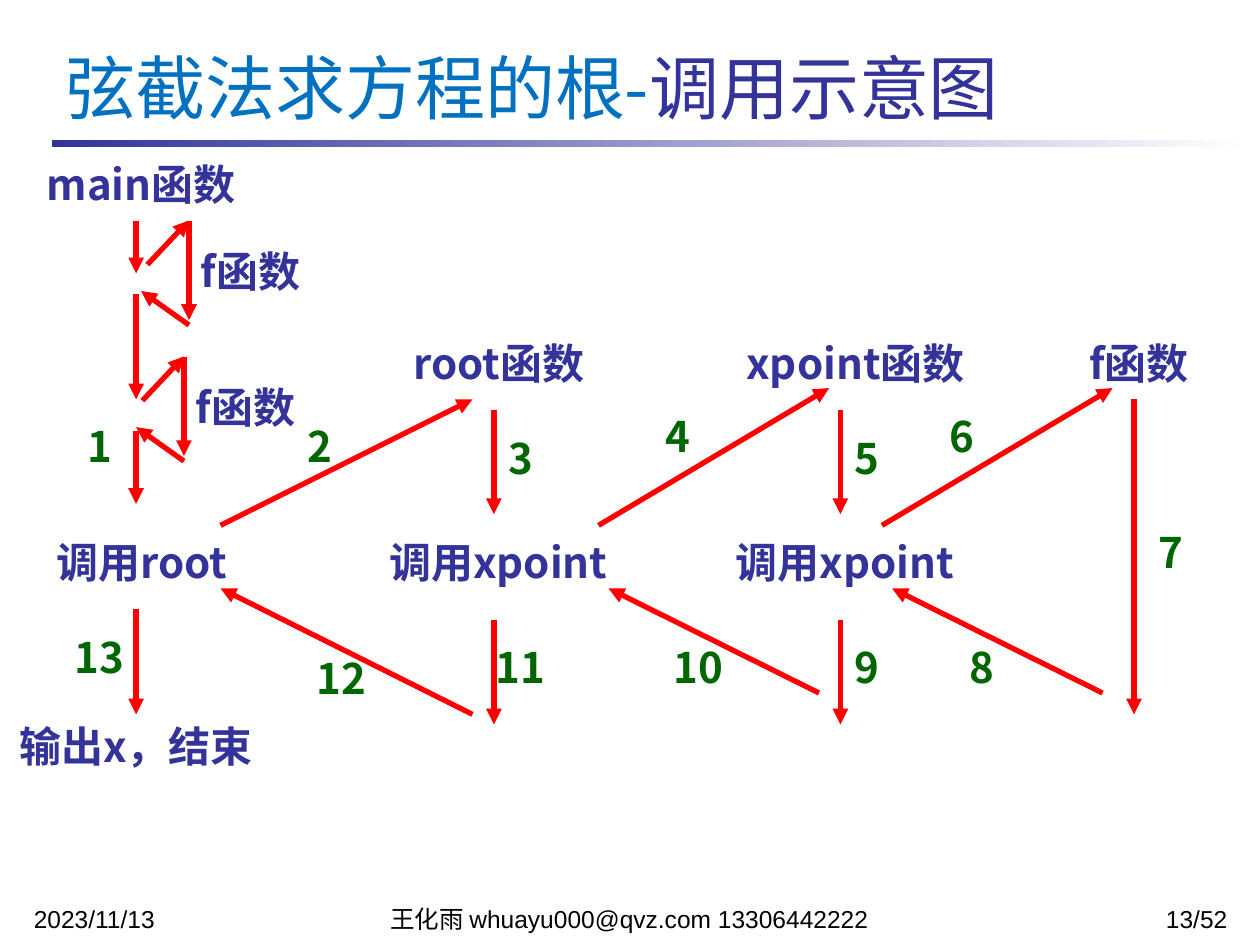
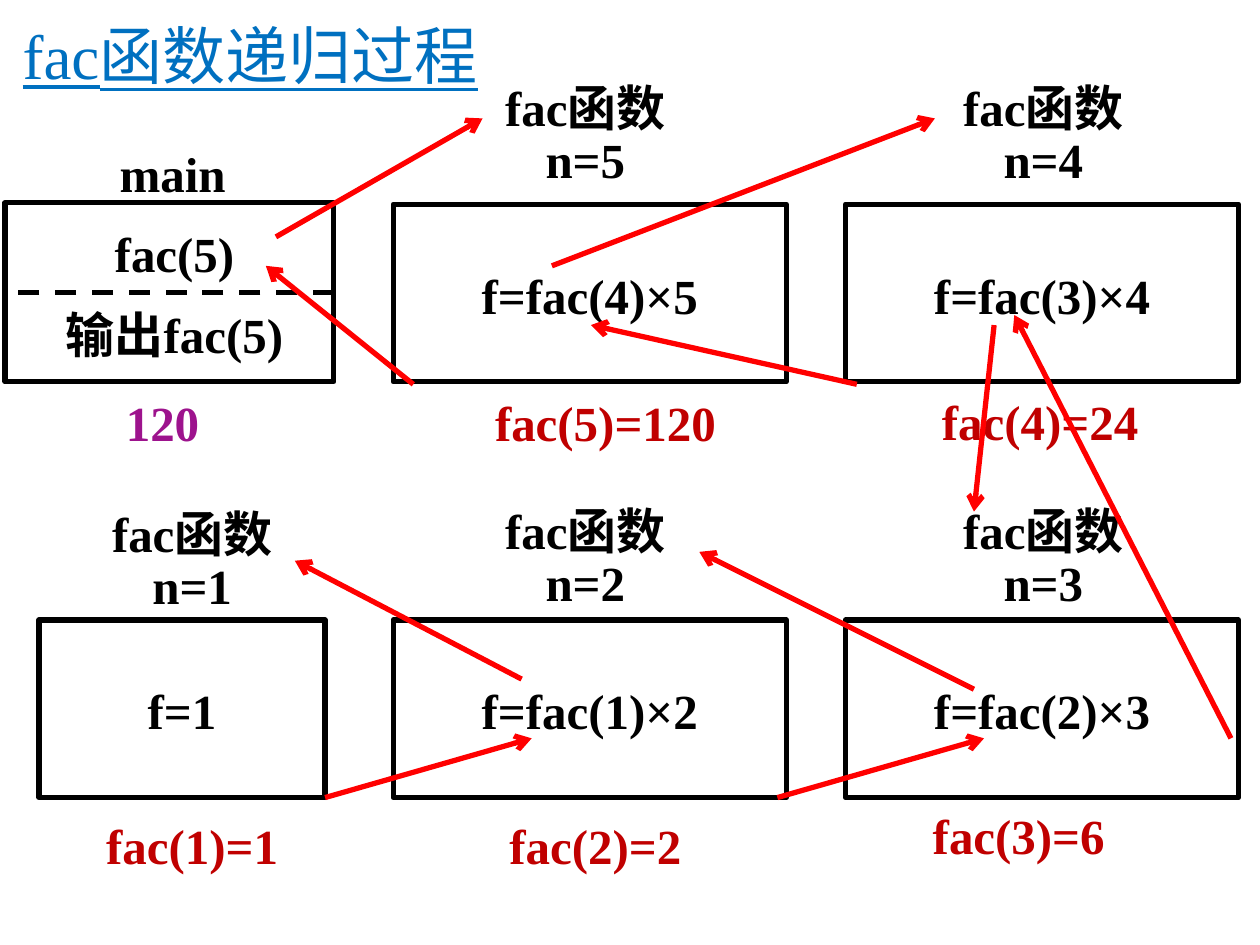
from dataclasses import dataclass, replace
from typing import NamedTuple, Optional

from lxml.etree import SubElement
from pptx import Presentation
from pptx.dml.color import RGBColor
from pptx.enum.dml import MSO_LINE
from pptx.enum.shapes import MSO_CONNECTOR, MSO_SHAPE
from pptx.enum.text import MSO_ANCHOR as Anchor, MSO_AUTO_SIZE, PP_ALIGN as Align
from pptx.oxml.ns import qn
from pptx.util import Inches, Pt

SANS, SERIF = "Noto Sans CJK SC", "Times New Roman"
BLACK, WHITE, RED = "000000", "FFFFFF", "FF0000"
NAVY, SKY, GREEN, CRIMSON, PURPLE = "333399", "0070C0", "006600", "C00000", "9D138D"
RULE_WIDTH = 3


class Area(NamedTuple):
    left: float
    top: float
    width: float
    height: float


class Arrow(NamedTuple):
    x1: float
    y1: float
    x2: float
    y2: float


class Mark(NamedTuple):
    text: str
    left: float
    top: float


class Call(NamedTuple):
    heading: list
    heading_area: Area
    body: str
    frame_area: Area
    result: str
    result_area: Area


@dataclass(frozen=True)
class TextStyle:
    size: float
    color: str
    font: str = SANS
    bold: bool = False
    underline: bool = False
    align: Align = Align.CENTER
    spacing: object = 1.0
    before: float = 0


LABEL = TextStyle(24, NAVY, bold=True)
NUMBER = replace(LABEL, color=GREEN)
FOOTER = TextStyle(14, BLACK, "Arial", spacing=0.8)
CODE = TextStyle(28, BLACK, SERIF, bold=True, spacing=1.2, before=5.6)
TIGHT = replace(CODE, spacing=Pt(24))
RESULT = replace(TIGHT, color=CRIMSON)
CALL_TITLE = TextStyle(40, SKY, align=Align.LEFT)
FAC_TITLE = TextStyle(36, SKY, SERIF, underline=True, align=Align.LEFT)


def rgb(color: str) -> RGBColor:
    return RGBColor.from_string(color)


def apply(target, values: dict) -> None:
    for name, value in values.items():
        setattr(target, name, value)


def place(area: Area) -> list:
    return [Inches(value) for value in area]


def add_span(para, text: str, style: TextStyle) -> None:
    span = para.add_run()
    span.text = text
    apply(span.font, {"size": Pt(style.size), "bold": style.bold,
                      "underline": style.underline, "name": style.font})
    span.font.color.rgb = rgb(style.color)
    SubElement(span._r.get_or_add_rPr(), qn("a:ea"), typeface=SANS)


def write(box, lines: list, style: TextStyle, anchor=Anchor.TOP,
          wrap: bool = True, top_inset: float = 0.05) -> None:
    frame = box.text_frame
    apply(frame, {"word_wrap": wrap, "auto_size": MSO_AUTO_SIZE.NONE,
                  "vertical_anchor": anchor, "margin_top": Inches(top_inset)})
    for index, line in enumerate(lines):
        para = frame.add_paragraph() if index else frame.paragraphs[0]
        apply(para, {"alignment": style.align, "line_spacing": style.spacing,
                     "space_before": Pt(style.before if index else 0)})
        add_span(para, line, style)


def add_text(page, area: Area, lines: list, style: TextStyle, **options):
    box = page.shapes.add_textbox(*place(area))
    write(box, lines, style, **options)
    return box


def add_block(page, area: Area, kind=MSO_SHAPE.RECTANGLE,
              fill: Optional[str] = None, line: Optional[str] = None):
    box = page.shapes.add_shape(kind, *place(area))
    box.shadow.inherit = False
    if fill:
        box.fill.solid()
        box.fill.fore_color.rgb = rgb(fill)
    else:
        box.fill.background()
    if line:
        box.line.color.rgb = rgb(line)
        box.line.width = Pt(RULE_WIDTH)
    else:
        box.line.fill.background()
    return box


def add_label(page, area: Area, text: str, kind=MSO_SHAPE.RECTANGLE,
              fill: Optional[str] = WHITE):
    box = add_block(page, area, kind, fill)
    write(box, [text], LABEL, anchor=Anchor.MIDDLE, wrap=False)
    return box


def add_line(page, ends: Arrow, color: str = RED, head: Optional[str] = None):
    line = page.shapes.add_connector(MSO_CONNECTOR.STRAIGHT, *place(ends))
    line.line.color.rgb = rgb(color)
    line.line.width = Pt(RULE_WIDTH)
    properties = line.element.spPr
    if head:
        SubElement(properties.find(qn("a:ln")), qn("a:tailEnd"), type=head)
    SubElement(properties, qn("a:effectLst"))
    return line


def add_page(deck, title_area: Area, title: str, style: TextStyle):
    page = deck.slides.add_slide(deck.slide_layouts[5])
    box = page.shapes.title
    apply(box, dict(zip(("left", "top", "width", "height"), place(title_area))))
    write(box, [title], style, anchor=Anchor.MIDDLE)
    return page


def add_band(page) -> None:
    band = add_block(page, Area(0.41, 1.11, 9.51, 0.06))
    band.fill.gradient()
    band.fill.gradient_angle = 0
    for stop, color in zip(band.fill.gradient_stops, (NAVY, WHITE)):
        stop.color.rgb = rgb(color)


def add_footers(page) -> None:
    for left, width, text, align in (
        (0.17, 2.33, "2023/11/13", Align.LEFT),
        (2.58, 4.83, "王化雨 whuayu000@qvz.com 13306442222", Align.CENTER),
        (7.92, 1.92, "13/52", Align.RIGHT),
    ):
        add_text(page, Area(left, 7.17, width, 0.18), [text], replace(FOOTER, align=align))


def add_f_call(page, x: float, y: float) -> None:
    """Short trip from main into f and back, starting at the top of f."""
    add_label(page, Area(x, y + 0.26, 0.98, 0.27), "f函数")
    for ends in (
        Arrow(x, y + 0.83, x - 0.38, y + 0.56),
        Arrow(x - 0.33, y + 0.35, x, y),
        Arrow(x, y, x, y + 0.79),
    ):
        add_line(page, ends, head="triangle")


def build_call_page(deck) -> None:
    page = add_page(deck, Area(0.42, 0.33, 8.58, 0.71), "弦截法求方程的根-", CALL_TITLE)
    add_span(page.shapes.title.text_frame.paragraphs[0], "调用示意图",
             replace(CALL_TITLE, color=NAVY))
    add_band(page)
    add_footers(page)

    # Functions and the places where they call the next one
    for left, top, text in ((0.33, 1.25, "main函数"), (3.17, 2.67, "root函数"),
                            (6, 2.67, "xpoint函数"), (8.25, 2.67, "f函数")):
        add_label(page, Area(left, top, 1.58, 0.42), text)
    for left, text in ((0.25, "调用root"), (3.08, "调用xpoint"), (5.83, "调用xpoint")):
        add_label(page, Area(left, 4.08, 1.75, 0.75), text, MSO_SHAPE.OVAL)
    ending = add_label(page, Area(0.33, 5.67, 1.5, 0.5), "输出x，结束", fill=None)

    # Steps down inside each function
    main_x, f_x = 1.08, 9
    steps = [Arrow(main_x, top, main_x, bottom)
             for top, bottom in ((1.75, 2.17), (2.33, 3.17), (3.42, 4))]
    for x in (3.92, 6.67):
        steps += [Arrow(x, 3.25, x, 4.08), Arrow(x, 4.92, x, 5.75)]
    steps.append(Arrow(f_x, 3.17, f_x, 5.67))

    # Calls to the next function and returns from it
    steps += [Arrow(1.75, 4.17, 3.75, 3.17), Arrow(3.75, 5.67, 1.75, 4.67)]
    for x in (4.75, 7):
        steps += [Arrow(x, 4.17, x + 1.83, 3.08), Arrow(x + 1.75, 5.5, x + 0.08, 4.67)]
    for ends in steps:
        add_line(page, ends, head="triangle")
    last_step = add_line(page, Arrow(main_x, 4.83, main_x, 5.67), head="triangle")
    last_step.end_connect(ending, 0)
    add_f_call(page, 1.5, 1.75)
    add_f_call(page, 1.46, 2.83)

    # Step numbers
    for mark in (
        Mark("1", 0.58, 3.33), Mark("2", 2.33, 3.33), Mark("3", 3.92, 3.42),
        Mark("4", 5.17, 3.25), Mark("5", 6.67, 3.42), Mark("6", 7.42, 3.25),
        Mark("7", 9.08, 4.17), Mark("8", 7.58, 5.08), Mark("9", 6.67, 5.08),
        Mark("10", 5.33, 5.08), Mark("11", 3.92, 5.08), Mark("12", 2.5, 5.17),
        Mark("13", 0.58, 5),
    ):
        add_text(page, Area(mark.left, mark.top, 0.42, 0.42), [mark.text], NUMBER,
                 anchor=Anchor.MIDDLE, wrap=False)


def fac_call(n: int, heading: tuple, frame: tuple, result: tuple,
             value: int, width: float = 3.12) -> Call:
    body = f"f=fac({n - 1})×{n}" if n > 1 else "f=1"
    return Call(["fac函数", f"n={n}"], Area(*heading, 0.92), body,
                Area(*frame, width, 1.41), f"fac({n})={value}", Area(*result, 3.05, 0.62))


def build_fac_page(deck) -> None:
    page = add_page(deck, Area(0.08, 0.08, 3.97, 0.71), "fac函数递归过程", FAC_TITLE)

    # The main function
    main_box = add_block(page, Area(0.04, 1.61, 2.61, 1.42), line=BLACK)
    add_text(page, Area(0.08, 1.62, 2.61, 1.42), ["fac(5)", "输出fac(5)"],
             replace(CODE, spacing=Pt(41)))
    add_text(page, Area(0.55, 1, 1.64, 0.7), ["main"], CODE)
    divider = add_line(page, Arrow(2.65, 2.32, 0.08, 2.32), BLACK)
    divider.line.dash_style = MSO_LINE.DASH
    divider.begin_connect(main_box, 3)
    add_text(page, Area(0.39, 3.2, 1.8, 0.47), ["120"], replace(RESULT, color=PURPLE))

    # One frame for each recursive call
    for call in (
        fac_call(5, (3.12, 0.7, 3.05), (3.12, 1.62), (3.28, 3.2), 120),
        fac_call(4, (6.72, 0.7, 3.12), (6.71, 1.62), (6.73, 3.19), 24),
        fac_call(3, (6.72, 4.06, 3.12), (6.71, 4.92), (6.56, 6.48), 6),
        fac_call(2, (3.12, 4.06, 3.05), (3.12, 4.92), (3.2, 6.56), 2),
        fac_call(1, (0, 4.08, 3.05), (0.31, 4.92), (0, 6.56), 1, 2.27),
    ):
        frame = add_block(page, call.frame_area, line=BLACK)
        write(frame, [call.body], CODE, top_inset=0.39)
        add_text(page, call.heading_area, call.heading, TIGHT)
        add_text(page, call.result_area, [call.result], RESULT)

    # Calls going in, then returns coming back
    for ends in (
        Arrow(2.19, 1.88, 3.83, 0.94), Arrow(4.38, 2.11, 7.42, 0.94),
        Arrow(7.89, 2.58, 7.73, 4.06), Arrow(7.73, 5.47, 5.55, 4.38),
        Arrow(4.14, 5.39, 2.34, 4.45),
        Arrow(2.58, 6.33, 4.22, 5.86), Arrow(6.17, 6.33, 7.81, 5.86),
        Arrow(9.77, 5.86, 8.05, 2.5), Arrow(6.8, 3.05, 4.69, 2.58),
        Arrow(3.28, 3.05, 2.11, 2.11),
    ):
        add_line(page, ends, head="arrow")


def main() -> None:
    deck = Presentation()
    deck.slide_width, deck.slide_height = Inches(10), Inches(7.5)
    build_call_page(deck)
    build_fac_page(deck)
    deck.save("out.pptx")


if __name__ == "__main__":
    main()
